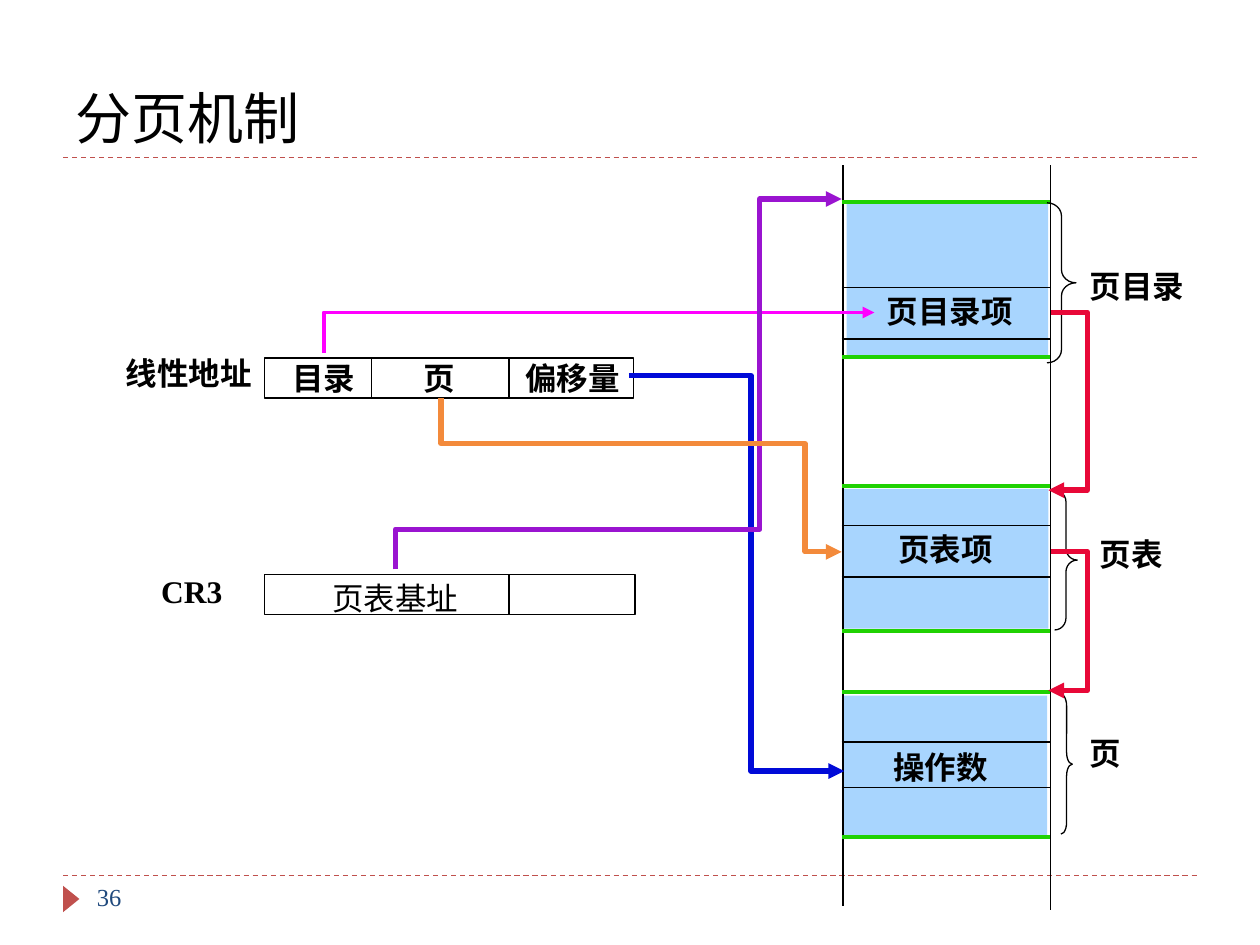
from lxml.etree import SubElement
from pptx import Presentation
from pptx.dml.color import RGBColor
from pptx.enum.dml import MSO_LINE
from pptx.enum.shapes import MSO_CONNECTOR, MSO_SHAPE
from pptx.enum.text import MSO_ANCHOR, MSO_AUTO_SIZE, PP_ALIGN
from pptx.oxml.ns import qn
from pptx.util import Inches, Pt

BLACK = "000000"
RED = "C0504D"
BLUE = "A8D5FE"
GREEN = "20D202"
SERIF = "Times New Roman"


def color(code):
    return RGBColor.from_string(code)


def stroke(shape, code, width, end=None):
    shape.line.color.rgb = color(code)
    shape.line.width = Pt(width)
    if end:
        SubElement(shape.line._get_or_add_ln(), qn(f"a:{end}"), type="triangle")


def write(frame, text, size=18, font=SERIF, code=BLACK, bold=False):
    para = frame.paragraphs[0]
    para.alignment = PP_ALIGN.LEFT
    run = para.add_run()
    run.text = text
    run.font.size = Pt(size)
    run.font.name = font
    run.font.bold = bold
    run.font.color.rgb = color(code)


def label(slide, text, x, y, w, wrap=False, **style):
    box = slide.shapes.add_textbox(Inches(x), Inches(y), Inches(w), Inches(0.4))
    frame = box.text_frame
    frame.word_wrap = wrap
    frame.auto_size = MSO_AUTO_SIZE.SHAPE_TO_FIT_TEXT
    write(frame, text, **style)


def block(slide, kind, x, y, w, h, fill=None, line=None):
    shape = slide.shapes.add_shape(kind, Inches(x), Inches(y), Inches(w), Inches(h))
    shape.shadow.inherit = False
    if fill:
        shape.fill.solid()
        shape.fill.fore_color.rgb = color(fill)
    else:
        shape.fill.background()
    if line:
        stroke(shape, line, 0.75)
    else:
        shape.line.fill.background()
    return shape


def link(slide, kind, x1, y1, x2, y2, code=BLACK, width=0.75, end=None):
    line = slide.shapes.add_connector(
        kind, Inches(x1), Inches(y1), Inches(x2), Inches(y2))
    stroke(line, code, width, end)
    SubElement(line._element.spPr, qn("a:effectLst"))
    return line


def rule(slide, *ends, **style):
    return link(slide, MSO_CONNECTOR.STRAIGHT, *ends, **style)


def elbow(slide, *ends, **style):
    line = link(slide, MSO_CONNECTOR.ELBOW, *ends, **style)
    line._element.spPr.find(qn("a:prstGeom")).set("prst", "bentConnector2")


def route(slide, code, *points):
    first, *rest = [(Inches(x), Inches(y)) for x, y in points]
    path = slide.shapes.build_freeform(*first)
    path.add_line_segments(rest, close=False)
    shape = path.convert_to_shape()
    shape.shadow.inherit = False
    shape.fill.background()
    stroke(shape, code, 3, "tailEnd")


def brace(slide, x, y, w, h, curve):
    shape = block(slide, MSO_SHAPE.RIGHT_BRACE, x, y, w, h, line=BLACK)
    shape.adjustments[0] = curve
    shape.adjustments[1] = 0.5


def field(slide, y, w, *splits):
    block(slide, MSO_SHAPE.RECTANGLE, 2.1, y, w, 0.32, line=BLACK)
    for x in splits:
        rule(slide, x, y, x, y + 0.32)


def memory(slide):
    for x, y, w, h in [(6.69, 5.52, 1.62, 1.11), (6.7, 3.88, 1.62, 1.11),
                       (6.72, 1.6, 1.6, 1.22)]:
        block(slide, MSO_SHAPE.RECTANGLE, x, y, w, h, fill=BLUE)
    rule(slide, 6.69, 1.31, 6.69, 7.19)
    rule(slide, 8.34, 1.31, 8.34, 7.22)
    for y in (2.28, 2.69, 4.17, 4.58, 5.89, 6.25):
        rule(slide, 6.68, y, 8.33, y)
    for y in (1.6, 2.83, 3.86, 5.01, 5.49, 6.64):
        rule(slide, 6.68, y, 8.33, y, code=GREEN, width=2.25)
    brace(slide, 8.31, 1.61, 0.23, 1.27, 0.452)
    brace(slide, 8.37, 3.89, 0.18, 1.11, 0.519)
    brace(slide, 8.42, 5.51, 0.09, 1.11, 1.047)


def routes(slide):
    elbow(slide, 6.94, 2.48, 2.57, 2.8, code="FF00FF", width=2.25, end="headEnd")
    route(slide, "000AD8", (4.99, 2.98), (5.96, 2.98), (5.96, 6.12), (6.7, 6.12))
    route(slide, "9A14D0", (3.14, 4.52), (3.14, 4.2), (6.03, 4.2),
          (6.03, 1.58), (6.68, 1.58))
    route(slide, "F38A3B", (3.5, 3.16), (3.5, 3.52), (6.39, 3.52),
          (6.39, 4.38), (6.68, 4.38))
    for top, low in [(2.48, 3.89), (4.38, 5.48)]:
        route(slide, "E80838", (8.34, top), (8.63, top), (8.63, low), (8.32, low))


def labels(slide):
    for text, x, y, w in [
        ("页目录", 8.55, 2.07, 0.95), ("目录", 2.22, 2.8, 0.7),
        ("页", 3.26, 2.8, 0.45), ("偏移量", 4.07, 2.8, 0.95),
        ("页目录项", 6.94, 2.27, 1.2), ("页表", 8.63, 4.2, 0.7),
        ("页表项", 7.03, 4.16, 0.95), ("页", 8.55, 5.78, 0.45),
        ("操作数", 6.99, 5.89, 0.95),
    ]:
        label(slide, text, x, y, w, bold=True)
    label(slide, "线性地址", 0.9, 2.76, 1.21, wrap=True, bold=True)
    label(slide, "CR3", 1.18, 4.49, 0.69, wrap=True, bold=True)
    label(slide, "页表基址", 2.54, 4.55, 1.2, font="Cabin")


def frame(slide):
    for y in (1.25, 6.95):
        line = rule(slide, 0.5, y, 9.5, y, code=RED)
        line.line.dash_style = MSO_LINE.DASH
    mark = block(slide, MSO_SHAPE.ISOSCELES_TRIANGLE, 0.46, 7.07, 0.21, 0.13, fill=RED)
    mark.rotation = 90
    title = slide.shapes.title
    title.left, title.top = Inches(0.5), Inches(0.17)
    title.width, title.height = Inches(9), Inches(1.08)
    title.text_frame.vertical_anchor = MSO_ANCHOR.BOTTOM
    title.text_frame.auto_size = MSO_AUTO_SIZE.NONE
    write(title.text_frame, "分页机制", size=32, font="Cabin")
    label(slide, "36", 0.67, 6.95, 2.17, wrap=True, size=14, code="1F497D")


def main():
    deck = Presentation()
    deck.slide_width, deck.slide_height = Inches(10), Inches(7.5)
    slide = deck.slides.add_slide(deck.slide_layouts[5])
    frame(slide)
    memory(slide)
    field(slide, 2.84, 2.93, 2.95, 4.04)
    field(slide, 4.56, 2.94, 4.04)
    routes(slide)
    labels(slide)
    deck.save("out.pptx")


if __name__ == "__main__":
    main()
